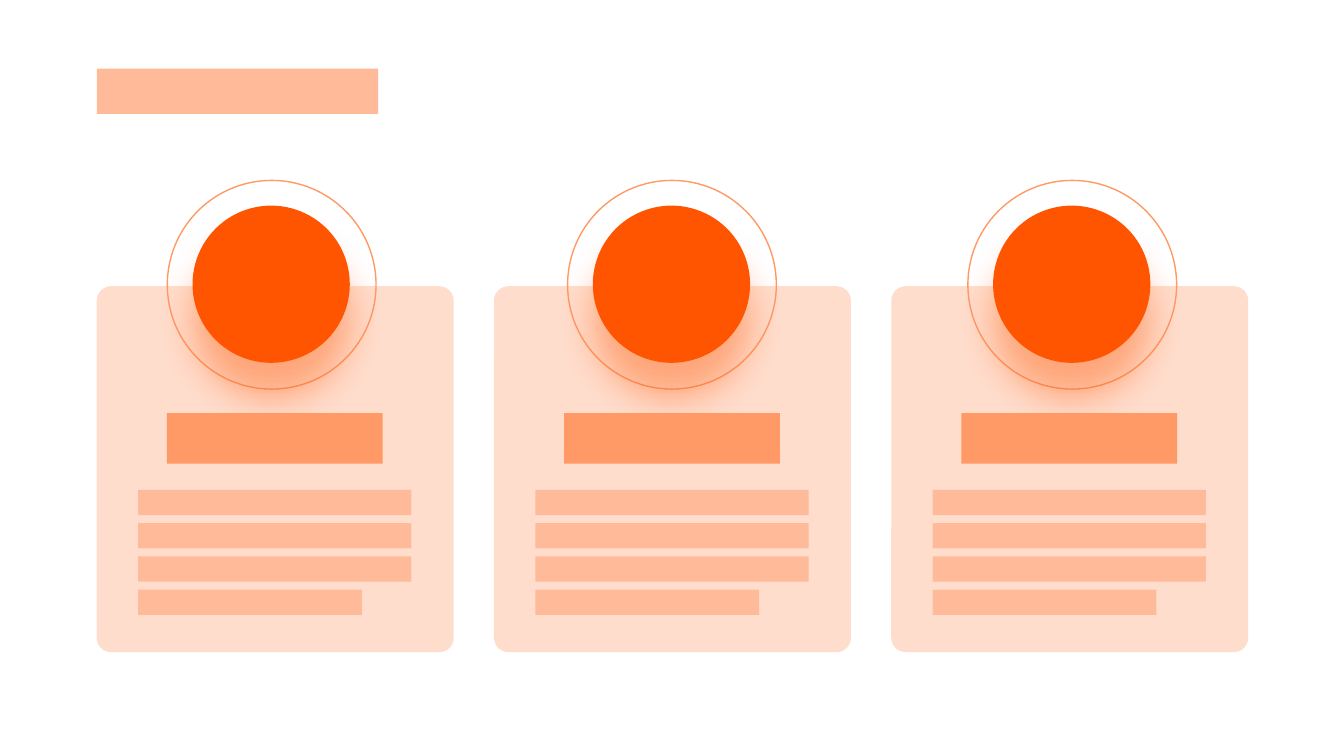
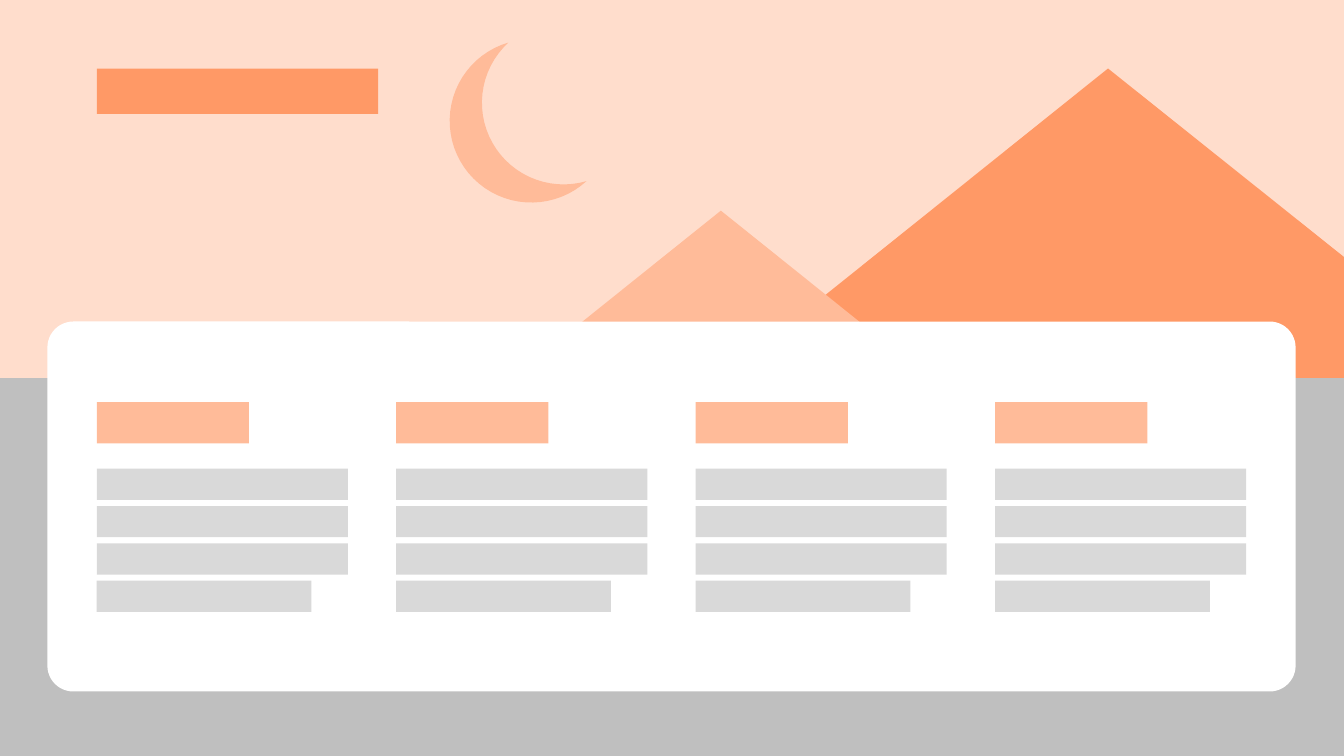
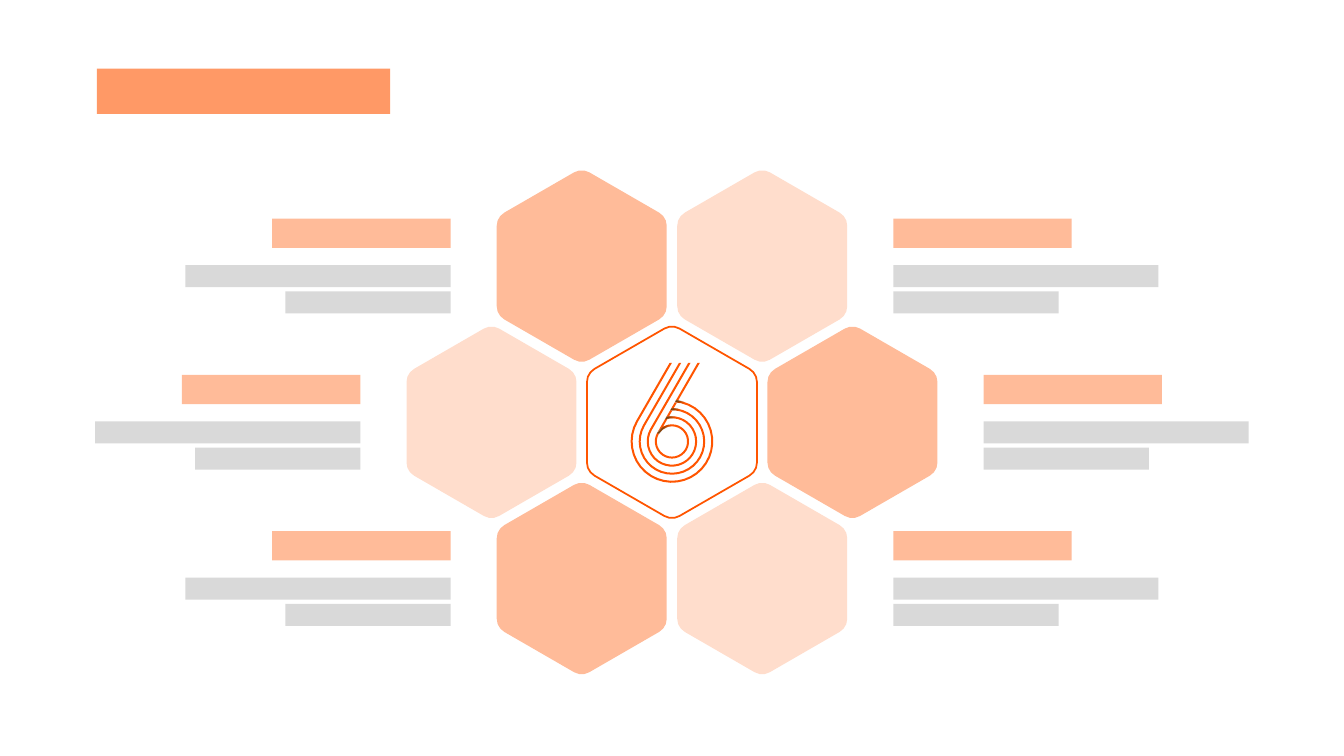
from dataclasses import dataclass
from math import acos, atan2, cos, degrees, hypot, radians, sin

from lxml import etree
from pptx import Presentation
from pptx.dml.color import RGBColor
from pptx.enum.shapes import MSO_SHAPE
from pptx.oxml.ns import qn
from pptx.util import Inches, Pt

RECTANGLE = MSO_SHAPE.RECTANGLE
ROUNDED = MSO_SHAPE.ROUNDED_RECTANGLE
OVAL = MSO_SHAPE.OVAL
TRIANGLE = MSO_SHAPE.ISOSCELES_TRIANGLE


@dataclass(frozen=True)
class Theme:
    width: float = 13.33
    height: float = 7.5
    margin: float = 0.96
    title_top: float = 0.68
    title_height: float = 0.45
    accent: str = "FF5500"
    strong: str = "FF9966"
    medium: str = "FFBB99"
    pale: str = "FFDDCC"
    white: str = "FFFFFF"
    ground: str = "BFBFBF"
    grey: str = "D9D9D9"
    shade_start: str = "763D04"
    shade_end: str = "854505"
    ring_line: float = 1
    hexagon_line: float = 1.25


THEME = Theme()


@dataclass(frozen=True)
class BlockStyle:
    """A heading bar above a stack of line bars."""
    heading_width: float
    heading_height: float
    heading_colour: str
    line_widths: tuple
    line_height: float
    line_colour: str
    first_line: float
    line_pitch: float


CARD_BLOCK = BlockStyle(2.14, 0.5, THEME.strong, (2.71, 2.71, 2.71, 2.22),
                        0.25, THEME.medium, 0.76, 0.33)
COLUMN_BLOCK = BlockStyle(1.51, 0.41, THEME.medium, (2.49, 2.49, 2.49, 2.13),
                          0.31, THEME.grey, 0.66, 0.37)
HEXAGON_BLOCK = BlockStyle(1.77, 0.29, THEME.medium, (2.63, 1.64),
                           0.22, THEME.grey, 0.46, 0.26)


# Shape helpers
def paint(shape, fill=None, line=None, line_width=THEME.ring_line):
    shape.shadow.inherit = False
    if fill:
        shape.fill.solid()
        shape.fill.fore_color.rgb = RGBColor.from_string(fill)
    else:
        shape.fill.background()
    if line:
        shape.line.color.rgb = RGBColor.from_string(line)
        shape.line.width = Pt(line_width)
    else:
        shape.line.fill.background()
    return shape


def add_preset(parent, kind, box, corner=None, **look):
    shape = parent.shapes.add_shape(kind, *(Inches(length) for length in box))
    if corner is not None:
        shape.adjustments[0] = corner
    return paint(shape, **look)


def add_outline(slide, *contours, **look):
    """Draw one closed freeform from lists of points in inches."""
    contours = [[(Inches(x), Inches(y)) for x, y in contour] for contour in contours]
    builder = slide.shapes.build_freeform(*contours[0][0])
    for index, contour in enumerate(contours):
        if index:
            builder.move_to(*contour[0])
        builder.add_line_segments(contour[1:], close=True)
    return paint(builder.convert_to_shape(), **look)


def arc(centre, radius, start, end, steps):
    """Points along an arc; angles in degrees, clockwise from the right."""
    angles = (radians(start + (end - start) * step / steps) for step in range(steps + 1))
    return [(centre[0] + radius * cos(angle), centre[1] + radius * sin(angle))
            for angle in angles]


def add_glow(shape, colour):
    effects = shape._element.spPr.find(qn("a:effectLst"))
    glow = etree.SubElement(effects, qn("a:outerShdw"), blurRad=str(Pt(26)),
                            dist=str(Pt(25)), dir="5400000", algn="t", rotWithShape="0")
    tint = etree.SubElement(glow, qn("a:srgbClr"), val=colour)
    etree.SubElement(tint, qn("a:alpha"), val="40000")


def fade(shape, start, end, angle):
    shape.fill.gradient()
    shape.fill.gradient_angle = angle
    stops = shape.fill.gradient_stops
    for stop, position, colour in zip(stops, (0.33, 0.47), (start, end)):
        stop.position = position
        stop.color.rgb = RGBColor.from_string(colour)
    last_colour = list(shape._element.spPr.iter(qn("a:srgbClr")))[-1]
    etree.SubElement(last_colour, qn("a:alpha"), val="0")


# Parts shared by the slides
def add_title_bar(slide, colour, width=2.79):
    add_preset(slide, RECTANGLE,
               (THEME.margin, THEME.title_top, width, THEME.title_height), fill=colour)


def add_block(slide, left, top, style, heading_align=0, line_align=0):
    """Alignment is 0 for left, 0.5 for centre and 1 for right."""
    full_width = max(style.line_widths)

    def add_bar(width, height, bar_top, align, colour):
        bar_left = left + (full_width - width) * align
        add_preset(slide, RECTANGLE, (bar_left, bar_top, width, height), fill=colour)

    add_bar(style.heading_width, style.heading_height, top, heading_align,
            style.heading_colour)
    for index, width in enumerate(style.line_widths):
        add_bar(width, style.line_height, top + style.first_line + index * style.line_pitch,
                line_align, style.line_colour)


# Slide 1: three cards
def build_cards(slide):
    card_pitch, circle_pitch = 3.94, 3.97
    for index in range(3):
        add_preset(slide, ROUNDED, (THEME.margin + index * card_pitch, 2.84, 3.54, 3.63),
                   corner=0.04, fill=THEME.pale)
    for index in range(3):
        offset = index * circle_pitch
        add_preset(slide, OVAL, (1.66 + offset, 1.79, 2.07, 2.07), line=THEME.strong)
        disc = add_preset(slide, OVAL, (1.91 + offset, 2.04, 1.56, 1.56), fill=THEME.accent)
        add_glow(disc, THEME.accent)
    for index in range(3):
        add_block(slide, 1.37 + index * card_pitch, 4.1, CARD_BLOCK, heading_align=0.5)
    add_title_bar(slide, THEME.medium)


# Slide 2: landscape with four columns
def add_moon(slide, centre, cut_centre, radius):
    across, down = cut_centre[0] - centre[0], cut_centre[1] - centre[1]
    axis = degrees(atan2(down, across))
    half = degrees(acos(hypot(across, down) / 2 / radius))
    outer = arc(centre, radius, axis + half, axis + 360 - half, 40)
    inner = arc(cut_centre, radius, axis + 180 + half, axis + 180 - half, 30)
    add_outline(slide, outer + inner, fill=THEME.medium)


def build_landscape(slide):
    horizon = THEME.height / 2
    add_preset(slide, RECTANGLE, (0, 0, THEME.width, THEME.height), fill=THEME.ground)
    add_preset(slide, RECTANGLE, (0, 0, THEME.width, horizon), fill=THEME.pale)
    add_moon(slide, (5.27, 1.2), (5.59, 1.02), 0.81)
    add_outline(slide, [(10.99, 0.68), (THEME.width, 2.55), (THEME.width, horizon),
                        (7.16, horizon)], fill=THEME.strong)
    add_preset(slide, TRIANGLE, (5.08, 2.09, 4.14, 1.66), fill=THEME.medium)
    add_preset(slide, ROUNDED, (0.47, 3.19, 12.38, 3.67), corner=0.07, fill=THEME.white)
    for index in range(4):
        add_block(slide, THEME.margin + index * 2.97, 3.99, COLUMN_BLOCK)
    add_title_bar(slide, THEME.strong)


# Slide 3: honeycomb around a striped six
def add_hexagon(slide, centre, **look):
    points = []
    for angle in range(-90, 270, 60):
        corner = arc(centre, 0.8, angle, angle, 1)[0]
        points += arc(corner, 0.15, angle - 30, angle + 30, 3)
    add_outline(slide, points, **look)


def add_striped_six(slide, centre, top):
    slant, inner_radius, pitch, half_width = 210, 0.16, 0.08, 0.01

    def junction(radius):
        return slant + degrees(acos(min(1, (inner_radius + half_width) / radius)))

    def edge(radius):
        curve = arc(centre, radius, slant, junction(radius) - 360, 30)
        x, y = curve[0]
        return [(x + (y - top) / 3 ** 0.5, top)] + curve

    def stripe(radius):
        return edge(radius + half_width) + edge(radius - half_width)[::-1]

    def shade(radius, end):
        outer, inner = radius + half_width, radius - half_width
        return (arc(centre, outer, junction(outer), end, 5)
                + arc(centre, inner, end, junction(inner), 5))

    radii = [inner_radius + index * pitch for index in range(4)]
    add_outline(slide, *(stripe(radius) for radius in radii), fill=THEME.accent)
    shadow = add_outline(slide, *(shade(radius, end)
                                  for radius, end in zip(radii, (320, 318, 314, 310))))
    fade(shadow, THEME.shade_start, THEME.shade_end, 330)


def build_honeycomb(slide):
    centre_x, centre_y = THEME.width / 2, 4.19
    column_pitch, row_pitch, block_gap = 1.79, 1.55, 1.3
    block_width = max(HEXAGON_BLOCK.line_widths)
    add_hexagon(slide, (centre_x, centre_y), line=THEME.accent,
                line_width=THEME.hexagon_line)
    add_striped_six(slide, (centre_x, 4.38), 3.6)
    add_title_bar(slide, THEME.strong, 2.91)
    for row in (-1, 0, 1):
        reach = column_pitch / 2 if row else column_pitch
        row_y = centre_y + row * row_pitch
        for side in (-1, 1):
            hexagon_x = centre_x + side * reach
            colour = THEME.medium if (side < 0) == bool(row) else THEME.pale
            add_hexagon(slide, (hexagon_x, row_y), fill=colour)
            block_left = hexagon_x + side * block_gap
            align = 0
            if side < 0:
                block_left -= block_width
                align = 1
            add_block(slide, block_left, row_y - 0.47, HEXAGON_BLOCK, align, align)


def main():
    presentation = Presentation()
    presentation.slide_width = Inches(THEME.width)
    presentation.slide_height = Inches(THEME.height)
    blank_layout = presentation.slide_layouts[6]
    for build in (build_cards, build_landscape, build_honeycomb):
        build(presentation.slides.add_slide(blank_layout))
    presentation.save("out.pptx")


if __name__ == "__main__":
    main()
